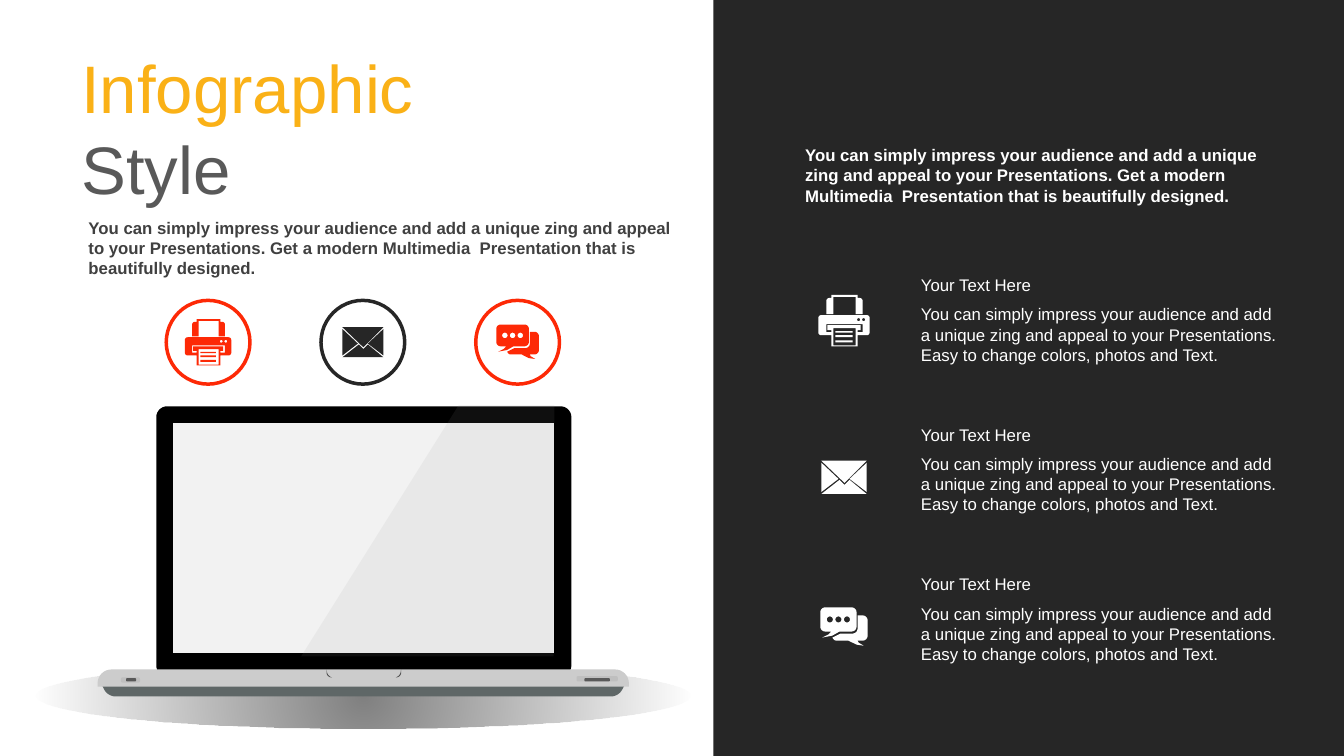
import dataclasses

import lxml.etree
import pptx
import pptx.dml.color
import pptx.enum.shapes
import pptx.enum.text
import pptx.oxml.ns
import pptx.util

Cm = pptx.util.Cm
SHAPES = pptx.enum.shapes.MSO_SHAPE
ANCHORS = pptx.enum.text.MSO_ANCHOR


@dataclasses.dataclass(frozen=True)
class Theme:
    font: str = "Arial"
    title_size: int = 48
    body_size: int = 12
    white: str = "FFFFFF"
    dark: str = "262626"
    red: str = "FD2906"
    amber: str = "FAB117"
    title_grey: str = "595959"
    body_grey: str = "404040"
    lid: str = "000000"
    screen: str = "F2F2F2"
    base: str = "CCCCCC"
    underside: str = "5F6767"
    notch: str = "4D4D4D"
    port: str = "BFBFBF"
    glare: str = "999999"
    shadow: str = "808080"


THEME = Theme()
INTRO = ("You can simply impress your audience and add a unique zing and appeal to your "
         "Presentations. Get a modern Multimedia  Presentation that is beautifully designed.")
DETAIL = ("You can simply impress your audience and add a unique zing and appeal to your "
          "Presentations. Easy to change colors, photos and Text.")


def block(left, top, width, height):
    return [(left, top), (left + width, top), (left + width, top + height), (left, top + height)]


def dot(x, y, radius):
    return [(*corner, radius) for corner in block(x - radius, y - radius, 2 * radius, 2 * radius)]


# Outlines in hundredths of the icon scale; a third number rounds that corner.
PRINTER = (51, 51, [
    block(17, 45, 17, 2), block(17, 40, 17, 2), block(17, 36, 17, 1.5), block(15, 33, 22, 17),
    [(8, 29), (8, 37), (13, 37), (13, 35), (9, 35), (9, 30),
     (42, 30), (42, 35), (39, 35), (39, 37), (44, 37), (44, 29)],
    dot(40, 24.5, 1.5), dot(45, 24.5, 1.5),
    [(0, 20, 3), (51, 20, 3), (51, 40, 3), (39, 40), (39, 51), (13, 51), (13, 40), (0, 40, 3)],
    [(13, 0), (39, 0), (39, 3), (44, 3, 3), (44, 19), (37, 19), (37, 2),
     (15, 2), (15, 19), (8, 19), (8, 3, 3), (13, 3)]])
ENVELOPE = (45, 33, [
    [(28, 19), (45, 33), (0, 33), (18, 19), (23, 24)],
    [(45, 2), (45, 31), (28, 18)], [(0, 2), (17, 18), (0, 31)], [(0, 0), (45, 0), (23, 22)]])
CHAT = (47, 39, [
    *[dot(x, 12, 3) for x in (9.5, 18, 26.5)],
    [(37, 8), (47, 8, 5), (47, 33, 5), (37, 33), (38, 35), (43, 38), (36, 37), (28, 33),
     (14, 33, 2), (12, 30), (20, 26), (37, 26, 5)],
    [(0, 0, 5), (36, 0, 5), (36, 24, 5), (19, 24), (12, 28), (2, 30), (8, 27), (11, 24),
     (0, 24, 5)]])


def colour(value):
    return pptx.dml.color.RGBColor.from_string(value)


def paint(shape, fill, line=None, weight=2.5):
    shape.shadow.inherit = False
    shape.fill.solid()
    shape.fill.fore_color.rgb = colour(fill)
    if line:
        shape.line.color.rgb = colour(line)
        shape.line.width = pptx.util.Pt(weight)
    else:
        shape.line.fill.background()
    return shape


def set_alpha(colour_element, percent):
    tag = pptx.oxml.ns.qn("a:alpha")
    lxml.etree.SubElement(colour_element, tag).set("val", str(percent * 1000))


def add_preset(page, kind, left, top, width, height, fill, line=None):
    shape = page.shapes.add_shape(kind, Cm(left), Cm(top), Cm(width), Cm(height))
    return paint(shape, fill, line)


def round_corners(vertices):
    """Return the outline's points, with an arc at each vertex that has a radius."""
    points = []
    for index, (x, y, *radius) in enumerate(vertices):
        if not radius:
            points.append((x, y))
            continue
        ends = []
        for other in (vertices[index - 1], vertices[(index + 1) % len(vertices)]):
            dx, dy = other[0] - x, other[1] - y
            share = radius[0] / (dx * dx + dy * dy) ** 0.5
            ends.append((x + dx * share, y + dy * share))
        start, end = ends
        first, last = [tuple(p + 0.55 * (c - p) for p, c in zip(tip, (x, y))) for tip in ends]
        for step in range(9):
            t = step / 8
            weights = ((1 - t) ** 3, 3 * t * (1 - t) ** 2, 3 * t * t * (1 - t), t ** 3)
            points.append(tuple(sum(w * p[axis] for w, p in zip(weights, (start, first, last, end)))
                                for axis in (0, 1)))
    return points


def add_outline(page, left, top, contours, fill, unit=1.0):
    """Draw closed contours, measured in units of so many cm, from a corner in cm."""
    builder = None
    for contour in contours:
        points = [(Cm(x * unit), Cm(y * unit)) for x, y in round_corners(contour)]
        if builder is None:
            builder = page.shapes.build_freeform(*points[0])
        else:
            builder.move_to(*points[0])
        builder.add_line_segments(points[1:], close=True)
    return paint(builder.convert_to_shape(Cm(left), Cm(top)), fill)


def add_icon(page, icon, centre_x, centre_y, fill, scale=2.54):
    width, height, contours = icon
    unit = scale / 100
    add_outline(page, centre_x - width * unit / 2, centre_y - height * unit / 2,
                contours, fill, unit)


def add_text(page, text, left, top, width, height, color=THEME.white, size=THEME.body_size,
             bold=False, anchor=ANCHORS.TOP):
    """Add a text box; text is a string or a list of (string, colour) spans."""
    box = page.shapes.add_textbox(Cm(left), Cm(top), Cm(width), Cm(height))
    box.text_frame.word_wrap = True
    box.text_frame.vertical_anchor = anchor
    para = box.text_frame.paragraphs[0]
    for words, tint in ([(text, color)] if isinstance(text, str) else text):
        span = para.add_run()
        span.text = words
        span.font.name = THEME.font
        span.font.size = pptx.util.Pt(size)
        span.font.bold = bold
        span.font.color.rgb = colour(tint)


def add_floor_shadow(page, left, top, width, height):
    shape = add_preset(page, SHAPES.OVAL, left, top, width, height, THEME.shadow)
    shape.fill.gradient()
    gradient = shape.fill._xPr.find(pptx.oxml.ns.qn("a:gradFill"))
    for stop, alpha in zip(shape.fill.gradient_stops, (100, 0)):
        stop.color.rgb = colour(THEME.shadow)
        set_alpha(stop.color._xFill[0] if len(stop.color._xFill) else stop.color._xFill, alpha)
    gradient.remove(gradient.find(pptx.oxml.ns.qn("a:lin")))
    radial = lxml.etree.SubElement(gradient, pptx.oxml.ns.qn("a:path"), path="circle")
    lxml.etree.SubElement(radial, pptx.oxml.ns.qn("a:fillToRect"),
                          l="50000", t="50000", r="50000", b="50000")


def add_laptop(page, left, top):
    add_floor_shadow(page, left - 1.57, top + 6.48, 16.51, 1.68)
    notch = [(0, 0), (0, 0.2, 0.12), (0.14, 0.2), (0.03, 0.17, 0.1)]
    parts = [
        (0.08, 7, [[(0, 0), (13.23, 0), (13.05, 0.34, 0.18), (0.18, 0.34, 0.18)]],
         THEME.underside),
        (1.48, 0.03, [[(*corner, 0.27) for corner in block(0, 0, 10.46, 6.8)]], THEME.lid),
        (1.91, 0.46, [block(0, 0, 9.58, 5.79)], THEME.screen),
        (0, 6.66, [[(0, 0, 0.35), (13.39, 0, 0.35), (13.39, 0.43), (0, 0.43)]], THEME.base),
        (5.77, 6.66, [notch, [(1.88 - x, *rest) for x, *rest in notch]], THEME.notch)]
    for x, y, contours, fill in parts:
        add_outline(page, left + x, top + y, contours, fill)
    for x, y, width, height, fill in [
            (0.59, 6.86, 0.48, 0.13, THEME.port), (0.72, 6.88, 0.25, 0.08, THEME.title_grey),
            (12.07, 6.83, 1.04, 0.13, THEME.port), (12.27, 6.88, 0.64, 0.08, THEME.title_grey)]:
        port = add_preset(page, SHAPES.ROUNDED_RECTANGLE, left + x, top + y, width, height, fill)
        port.adjustments[0] = 0.28
    glare = add_outline(page, left + 5.13, top, [[(3.97, 0), (6.38, 0), (6.36, 6.33), (0, 6.33)]],
                        THEME.glare)
    set_alpha(glare.fill._xPr.find(".//" + pptx.oxml.ns.qn("a:srgbClr")), 10)


def add_badges(page, left, top, size=2.11, pitch=3.9):
    badges = [(PRINTER, THEME.red), (ENVELOPE, THEME.dark), (CHAT, THEME.red)]
    for index, (icon, tint) in enumerate(badges):
        x = left + index * pitch
        add_preset(page, SHAPES.OVAL, x, top, size, size, THEME.white, tint)
        add_icon(page, icon, x + size / 2, top + size / 2, tint, scale=2.29)


def add_side_panel(page, left, top, width, height):
    add_preset(page, SHAPES.RECTANGLE, left, top, width, height, THEME.dark)
    add_text(page, INTRO, left + 2.06, top + 3.53, 11.94, 1.8, bold=True)
    rows = [(PRINTER, 1.28), (ENVELOPE, 1.46), (CHAT, 1.46)]
    for index, (icon, drop) in enumerate(rows):
        row_top = top + 6.8 + index * 3.77
        add_icon(page, icon, left + 3.29, row_top + drop, THEME.white)
        add_text(page, "Your Text Here", left + 4.98, row_top, 9.5, 0.76, anchor=ANCHORS.MIDDLE)
        add_text(page, DETAIL, left + 4.98, row_top + 0.74, 9.5, 1.8)


def add_main_side(page, left, top):
    add_text(page, [("Infographic ", THEME.amber), ("Style", THEME.title_grey)],
             left, top, 9.17, 4.37, size=THEME.title_size)
    add_text(page, INTRO, left + 0.18, top + 4.32, 15.27, 1.8, color=THEME.body_grey, bold=True)
    add_badges(page, left + 2.39, top + 6.53)
    add_laptop(page, left + 0.66, top + 9.17)


def main():
    deck = pptx.Presentation()
    deck.slide_width, deck.slide_height = Cm(33.87), Cm(19.05)
    page = deck.slides.add_slide(deck.slide_layouts[6])
    add_main_side(page, 1.8, 1.04)
    add_side_panel(page, 17.98, 0, 15.89, 19.05)
    deck.save("out.pptx")


if __name__ == "__main__":
    main()
